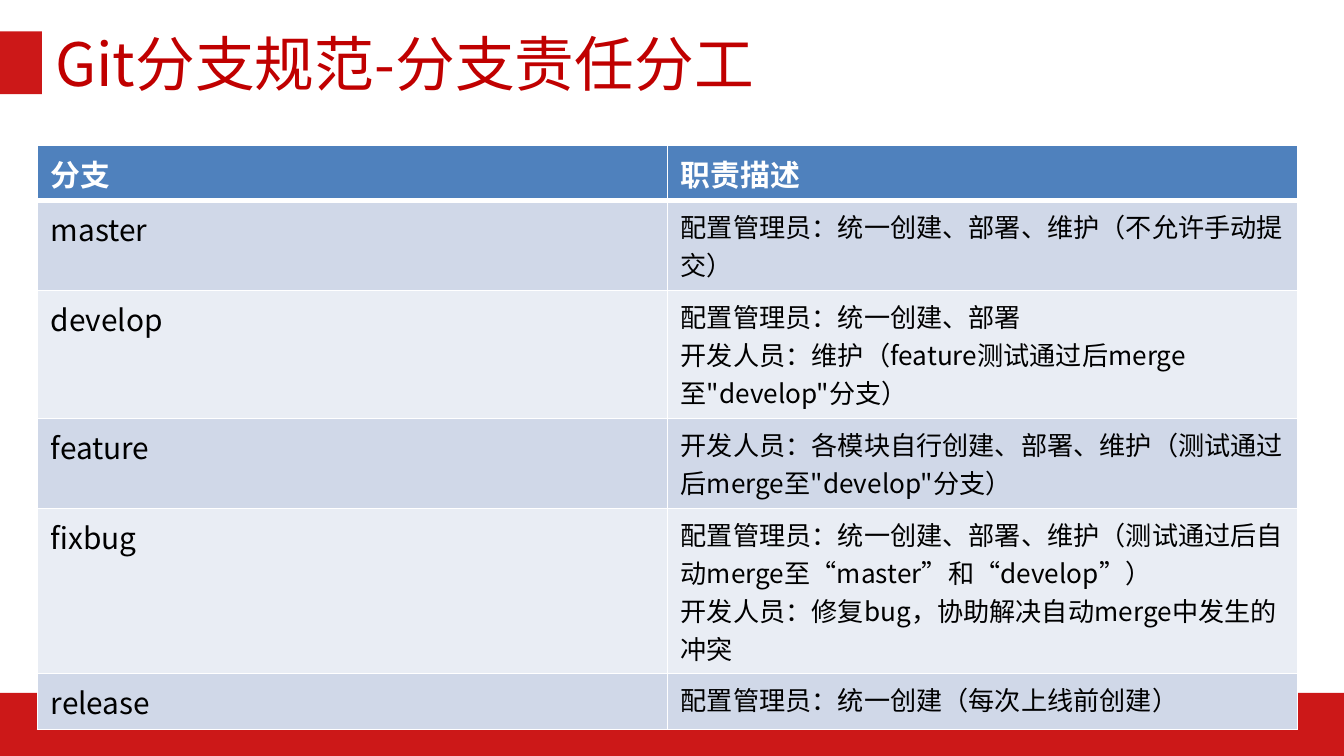
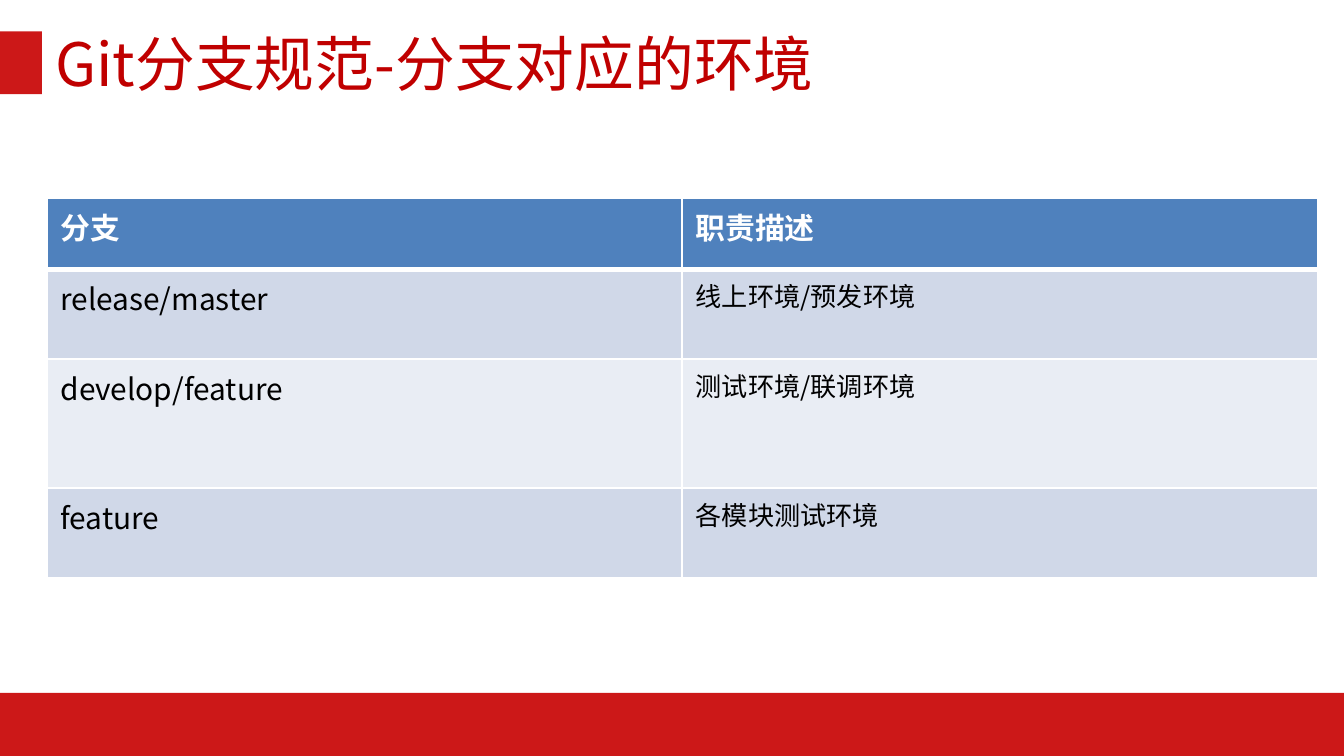
from copy import deepcopy

from lxml import etree
from pptx import Presentation
from pptx import util as u
from pptx.dml.color import RGBColor
from pptx.enum import shapes, text
from pptx.oxml.ns import qn

FONT = "Noto Sans CJK SC"
COLORS = {
    "band": "CC1818",
    "title": "C00000",
    "header": "4F81BD",
    "odd": "D0D8E8",
    "even": "E9EDF4",
    "white": "FFFFFF",
    "black": "000000",
}
HEADER = ("分支", "职责描述")
BANDS = [(0, 371.25, 720, 33.75), (0, 16.75, 22.5, 33.75)]  # footer, title marker

# Each slide: title, table left/top/width, row heights, body rows
SLIDES = [
    ("Git分支规范-分支责任分工", (20, 78, 675), (29.5, 48.2, 68.5, 48.2, 88.4, 30), [
        ("master", "配置管理员：统一创建、部署、维护（不允许手动提交）"),
        ("develop", "配置管理员：统一创建、部署\n"
                    "开发人员：维护（feature测试通过后merge至\"develop\"分支）"),
        ("feature", "开发人员：各模块自行创建、部署、维护（测试通过后merge至\"develop\"分支）"),
        ("fixbug", "配置管理员：统一创建、部署、维护（测试通过后自动merge至“master”和“develop”）\n"
                   "开发人员：修复bug，协助解决自动merge中发生的冲突"),
        ("release", "配置管理员：统一创建（每次上线前创建）"),
    ]),
    ("Git分支规范-分支对应的环境", (25.25, 106.25, 680.5), (38, 48.2, 69, 48.2), [
        ("release/master", "线上环境/预发环境"),
        ("develop/feature", "测试环境/联调环境"),
        ("feature", "各模块测试环境"),
    ]),
]


def write(tf, content, size, color, bold=False):
    """Fill one paragraph, keeping line breaks at the size of the text."""
    p = tf.paragraphs[0]
    p.text = content
    for r in p.runs:
        r.font.size = u.Pt(size)
        r.font.bold = bold
        r.font.name = FONT
        r.font.color.rgb = RGBColor.from_string(COLORS[color])
        etree.SubElement(r.font._element, qn("a:ea"), typeface=FONT)
    for br in p._p.findall(qn("a:br")):
        br.append(deepcopy(p.runs[0].font._element))


def add_borders(cell, row):
    """White cell borders, with a thick line below the header."""
    tc_pr = cell._tc.get_or_add_tcPr()
    thick = {0: "lnB", 1: "lnT"}.get(row)
    for side in ("lnL", "lnR", "lnT", "lnB"):
        width = u.Pt(3 if side == thick else 1)
        ln = etree.SubElement(tc_pr, qn(f"a:{side}"), w=str(int(width)))
        fill = etree.SubElement(ln, qn("a:solidFill"))
        etree.SubElement(fill, qn("a:srgbClr"), val=COLORS["white"])


prs = Presentation()
prs.slide_width, prs.slide_height = u.Pt(720), u.Pt(405)

for title, (left, top, width), heights, body in SLIDES:
    s = prs.slides.add_slide(prs.slide_layouts[6])

    # Red bands
    for box in BANDS:
        sp = s.shapes.add_shape(shapes.MSO_SHAPE.RECTANGLE, *map(u.Pt, box))
        sp.shadow.inherit = False
        sp.fill.solid()
        sp.fill.fore_color.rgb = RGBColor.from_string(COLORS["band"])
        sp.line.fill.background()

    # Title
    tf = s.shapes.add_textbox(u.Pt(22.5), u.Pt(16.25), u.Pt(675), u.Pt(34.5)).text_frame
    tf.word_wrap = True
    tf.vertical_anchor = text.MSO_ANCHOR.MIDDLE
    write(tf, title, 32, "title")

    # Branch table
    rows = [HEADER] + body
    table = s.shapes.add_table(len(rows), 2, u.Pt(left), u.Pt(top),
                               u.Pt(width), u.Pt(sum(heights))).table
    for column in table.columns:
        column.width = u.Pt(width / 2)
    for i, values in enumerate(rows):
        table.rows[i].height = u.Pt(heights[i])
        fill = "header" if i == 0 else "odd" if i % 2 else "even"
        for j, value in enumerate(values):
            cell = table.cell(i, j)
            add_borders(cell, i)
            cell.fill.solid()
            cell.fill.fore_color.rgb = RGBColor.from_string(COLORS[fill])
            write(cell.text_frame, value, 14 if i and j else 16,
                  "black" if i else "white", bold=i == 0)

prs.save("out.pptx")
